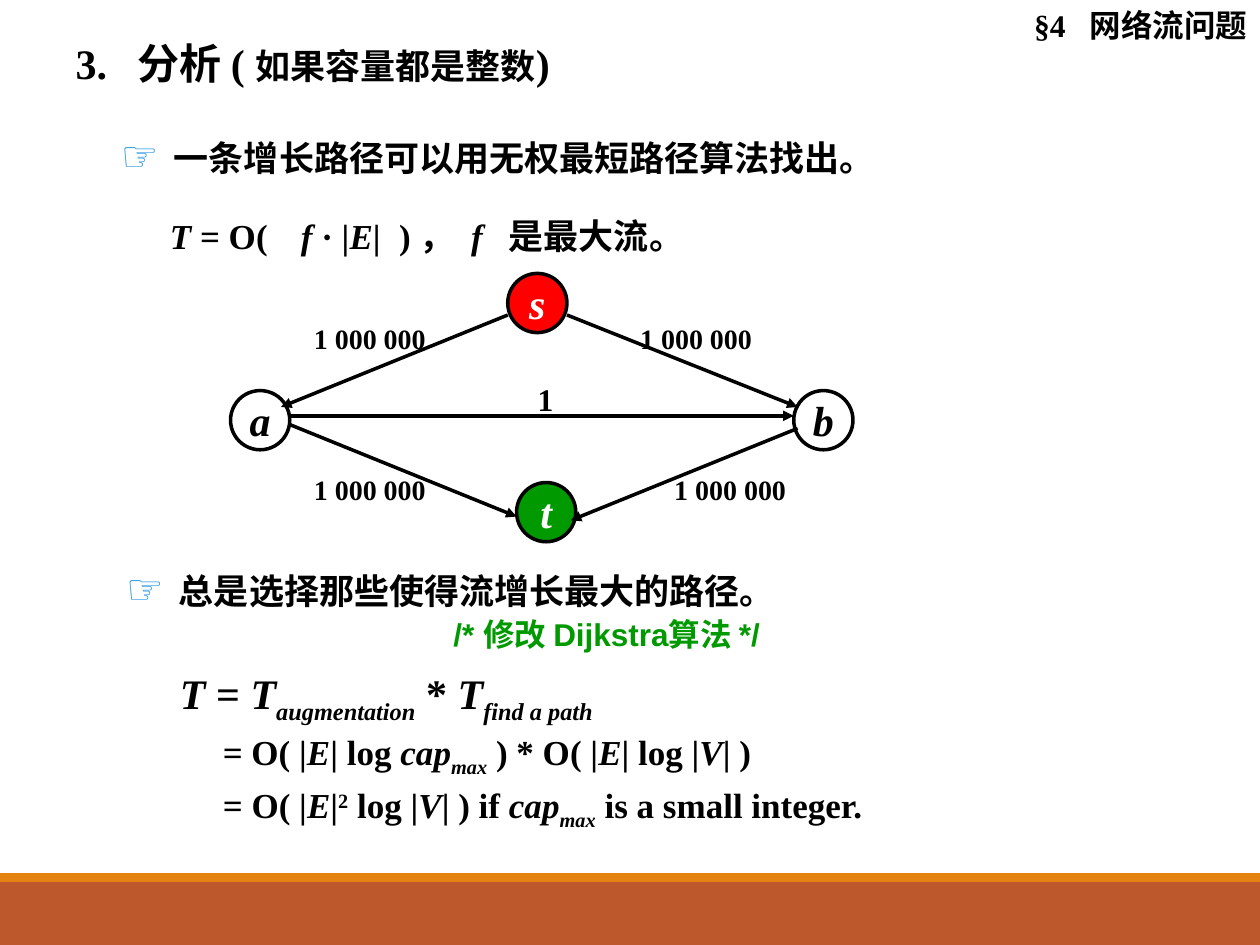
from lxml import etree
from pptx import Presentation
from pptx.dml.color import RGBColor
from pptx.enum.shapes import MSO_CONNECTOR, MSO_SHAPE
from pptx.enum.text import MSO_ANCHOR, MSO_AUTO_SIZE, PP_ALIGN
from pptx.oxml.ns import qn
from pptx.util import Inches, Pt

SERIF = "Times New Roman"
BASELINES = {"_": "-25000", "^": "30000"}
color = RGBColor.from_string


def write(shape, pieces, size, fill="000000", font=SERIF, align=PP_ALIGN.LEFT, tabs=()):
    """Fill a shape with one paragraph; a piece is (text, style[, size]),
    where style may hold i (italic), _ (subscript) and ^ (superscript)."""
    frame = shape.text_frame
    frame.word_wrap = True
    frame.auto_size = MSO_AUTO_SIZE.NONE
    paragraph = frame.paragraphs[0]
    paragraph.alignment = align
    paragraph.space_before = Pt(0)
    if tabs:
        tab_list = etree.SubElement(paragraph._p.get_or_add_pPr(), qn("a:tabLst"))
        for position in tabs:
            etree.SubElement(tab_list, qn("a:tab"), pos=str(Inches(position)), algn="l")
    for text, style, *own_size in pieces:
        run = paragraph.add_run()
        run.text = text
        run.font.name = font
        run.font.size = Pt(own_size[0] if own_size else size)
        run.font.bold = True
        run.font.italic = "i" in style
        run.font.color.rgb = color(fill)
        for mark in BASELINES:
            if mark in style:
                run._r.get_or_add_rPr().set("baseline", BASELINES[mark])


def place(shape, left, top, width, height):
    shape.left, shape.top = Inches(left), Inches(top)
    shape.width, shape.height = Inches(width), Inches(height)


presentation = Presentation()
presentation.slide_width = Inches(10)
presentation.slide_height = Inches(7.5)
slide = presentation.slides.add_slide(presentation.slide_layouts.get_by_name("Two Content"))
shapes = slide.shapes

# Footer bands
for top, height, fill in [(7, 0.5, "BD582C"), (6.93, 0.07, "E48312")]:
    band = shapes.add_shape(
        MSO_SHAPE.RECTANGLE, Inches(0), Inches(top), Inches(10), Inches(height))
    band.shadow.inherit = False
    band.fill.solid()
    band.fill.fore_color.rgb = color(fill)
    band.line.fill.background()

# Title
title = shapes.title
place(title, 0.5, 0.25, 6.25, 0.5)
title.text_frame.vertical_anchor = MSO_ANCHOR.TOP
write(title, [("3.\t分析 ( ", ""), ("如果容量都是整数", "", 20), (")", "")], 24, tabs=[0.49])

# Main points with a pointing-hand bullet
points = [
    (1, 0.86, 1.03, "一条增长路径可以用无权最短路径算法找出。"),
    (2, 0.9, 4.47, "总是选择那些使得流增长最大的路径。"),
]
for index, left, top, text in points:
    body = slide.placeholders[index]
    place(body, left, top, 8.17, 0.5)
    properties = body.text_frame.paragraphs[0]._p.get_or_add_pPr()
    properties.set("marL", str(Inches(0.42)))
    properties.set("indent", str(-Inches(0.42)))
    bullet_color = etree.SubElement(properties, qn("a:buClr"))
    etree.SubElement(bullet_color, qn("a:srgbClr"), val="2998E3")
    etree.SubElement(properties, qn("a:buSzPct"), val="120000")
    etree.SubElement(properties, qn("a:buFont"), typeface="Arial")
    etree.SubElement(properties, qn("a:buChar"), char="☞")
    write(body, [(text, "")], 20)

# Flow network: nodes
for name, left, top, fill, text_color in [
    ("s", 4.03, 2.17, "FF0000", "FFFFFF"),
    ("t", 4.1, 3.83, "009900", "FFFFFF"),
    ("a", 1.83, 3.1, "FFFFFF", "000000"),
    ("b", 6.3, 3.1, "FFFFFF", "000000"),
]:
    node = shapes.add_shape(
        MSO_SHAPE.OVAL, Inches(left), Inches(top), Inches(0.47), Inches(0.47))
    node.shadow.inherit = False
    node.fill.solid()
    node.fill.fore_color.rgb = color(fill)
    node.line.color.rgb = color("000000")
    node.line.width = Pt(2)
    write(node, [(name, "i")], 24, text_color, align=PP_ALIGN.CENTER)
    node.text_frame.vertical_anchor = MSO_ANCHOR.MIDDLE
    node.text_frame.word_wrap = False

# Flow network: edges, each from its tail to its arrowhead
for edge in [
    (4.03, 2.5, 2.23, 3.23),
    (4.5, 2.5, 6.33, 3.23),
    (2.3, 3.37, 4.1, 4.1),
    (6.33, 3.4, 4.53, 4.13),
    (2.3, 3.3, 6.3, 3.3),
]:
    arrow = shapes.add_connector(MSO_CONNECTOR.STRAIGHT, *map(Inches, edge))
    arrow.line.color.rgb = color("000000")
    arrow.line.width = Pt(2)
    etree.SubElement(arrow.line._get_or_add_ln(), qn("a:tailEnd"), type="triangle")
    etree.SubElement(arrow._element.spPr, qn("a:effectLst"))

# Flow network: capacities
for left, top, width, capacity, size in [
    (2.37, 2.5, 1.13, "1 000 000", 16),
    (4.96, 2.5, 1.13, "1 000 000", 16),
    (2.37, 3.7, 1.13, "1 000 000", 16),
    (5.23, 3.7, 1.13, "1 000 000", 16),
    (4.03, 2.97, 0.6, "1", 18),
]:
    label = shapes.add_textbox(Inches(left), Inches(top), Inches(width), Inches(0.4))
    write(label, [(capacity, "")], size, align=PP_ALIGN.CENTER)

# Section mark, remark and running-time formulas
section = shapes.add_textbox(Inches(8.11), Inches(0), Inches(1.89), Inches(0.4))
section.text_frame.margin_right = Inches(0)
write(section, [("§4\t网络流问题", "")], 18, tabs=[0.44])

remark = shapes.add_textbox(Inches(3.5), Inches(4.83), Inches(4.17), Inches(0.4))
write(remark, [("/* 修改 Dijkstra算法 */", "")], 18, "009900", "Arial")

simple_bound = shapes.add_textbox(Inches(1.25), Inches(1.65), Inches(6.17), Inches(0.44))
write(simple_bound, [
    ("T", "i"), (" = O(\t", ""), ("f", "i"), (" · |", ""), ("E", "i"), ("|\t) ，\t", ""),
    ("f\t", "i"), ("是最大流。", ""),
], 20, tabs=[1.04, 1.82, 2.39, 2.69])

for left, top, width, size, pieces in [
    (1.33, 5.25, 4.25, 24, [
        ("T", "i"), (" = ", ""), ("T", "i"), ("augmentation", "i_"),
        (" * ", ""), ("T", "i"), ("find a path", "i_")]),
    (1.67, 5.75, 5.33, 20, [
        ("= O( |", ""), ("E", "i"), ("| log ", ""), ("cap", "i"), ("max", "i_"),
        (" ) * O( |", ""), ("E", "i"), ("| log |", ""), ("V", "i"), ("| )", "")]),
    (1.67, 6.17, 6.58, 20, [
        ("= O( |", ""), ("E", "i"), ("|", ""), ("2", "^"), (" log |", ""), ("V", "i"),
        ("| ) if ", ""), ("cap", "i"), ("max", "i_"), (" is a small integer.", "")]),
]:
    formula = shapes.add_textbox(Inches(left), Inches(top), Inches(width), Inches(0.5))
    write(formula, pieces, size)

presentation.save("out.pptx")
